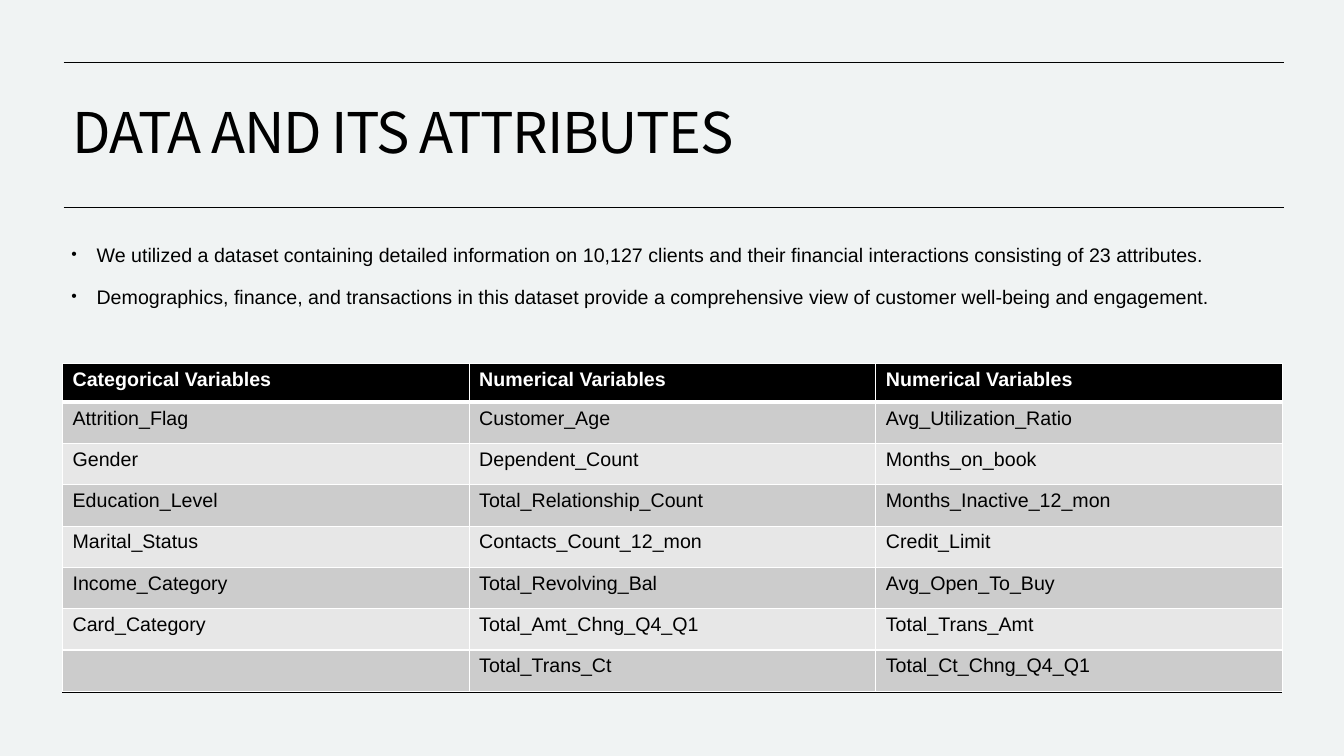
from pptx import Presentation
from pptx.dml.color import RGBColor
from pptx.enum.shapes import MSO_CONNECTOR
from pptx.enum.text import MSO_ANCHOR, PP_ALIGN
from pptx.oxml.ns import qn
from pptx.util import Inches, Pt
from lxml import etree

STRAIGHT = MSO_CONNECTOR.STRAIGHT
MIDDLE = MSO_ANCHOR.MIDDLE
LEFT = PP_ALIGN.LEFT

BLACK, WHITE, PAPER = "000000", "FFFFFF", "F0F3F3"
BANDS = "CCCCCC", "E7E7E7"

NOTES = [
    "We utilized a dataset containing detailed information on 10,127 clients "
    "and their financial interactions consisting of 23 attributes.",
    "Demographics, finance, and transactions in this dataset provide "
    "a comprehensive view of customer well-being and engagement.",
]
ROWS = [
    ("Categorical Variables", "Numerical Variables", "Numerical Variables"),
    ("Attrition_Flag", "Customer_Age", "Avg_Utilization_Ratio"),
    ("Gender", "Dependent_Count", "Months_on_book"),
    ("Education_Level", "Total_Relationship_Count", "Months_Inactive_12_mon"),
    ("Marital_Status", "Contacts_Count_12_mon", "Credit_Limit"),
    ("Income_Category", "Total_Revolving_Bal", "Avg_Open_To_Buy"),
    ("Card_Category", "Total_Amt_Chng_Q4_Q1", "Total_Trans_Amt"),
    ("", "Total_Trans_Ct", "Total_Ct_Chng_Q4_Q1"),
]


def color(code):
    return RGBColor.from_string(code)


class Deck:
    """Holds the slide and its text style, and draws each kind of element."""

    def __init__(self, slide, font, size):
        self.slide, self.font, self.size = slide, font, size
        back = slide.background.fill
        back.solid()
        back.fore_color.rgb = color(PAPER)

    def style(self, para, ink=BLACK, bold=False, font=None, size=None):
        para.alignment = LEFT
        for run in para.runs:
            run.font.name = font or self.font
            run.font.size = Pt(size or self.size)
            run.font.bold = bold
            run.font.color.rgb = color(ink)

    def rule(self, left, top, width):
        line = self.slide.shapes.add_connector(
            STRAIGHT, Inches(left), Inches(top), Inches(left + width), Inches(top))
        line.line.color.rgb = color(BLACK)
        line.line.width = Pt(0.5)
        etree.SubElement(line._element.spPr, qn("a:effectLst"))

    def title(self, text, box, font, size):
        shape = self.slide.shapes.title
        shape.left, shape.top, shape.width, shape.height = map(Inches, box)
        frame = shape.text_frame
        frame.text = text
        frame.word_wrap = True
        frame.vertical_anchor = MIDDLE
        para = frame.paragraphs[0]
        para.line_spacing = 0.9
        self.style(para, font=font, size=size)
        para.runs[0].font._element.set("spc", "-100")

    def border(self, cell, base):
        props = cell._tc.get_or_add_tcPr()
        for side, width in zip("LRTB", (1, 1, 1, base)):
            edge = etree.SubElement(props, qn(f"a:ln{side}"), w=str(Pt(width)))
            fill = etree.SubElement(edge, qn("a:solidFill"))
            etree.SubElement(fill, qn("a:srgbClr"), val=WHITE)

    def table(self, rows, box, head, step):
        grid = self.slide.shapes.add_table(
            len(rows), len(rows[0]), *map(Inches, box)).table
        for r, row in enumerate(rows):
            first = r == 0
            grid.rows[r].height = Inches(head if first else step)
            for c, text in enumerate(row):
                cell = grid.cell(r, c)
                cell.text = text
                self.style(cell.text_frame.paragraphs[0],
                           WHITE if first else BLACK, first)
                self.border(cell, 3 if first else 1)
                cell.fill.solid()
                cell.fill.fore_color.rgb = color(
                    BLACK if first else BANDS[(r - 1) % 2])

    def bullets(self, items, box):
        frame = self.slide.shapes.add_textbox(*map(Inches, box)).text_frame
        frame.word_wrap = True
        frame.text = "\n".join(items)
        for para in frame.paragraphs:
            self.style(para)
            para.line_spacing = 1.2
            para.space_before = Pt(10)
            props = para._p.get_or_add_pPr()
            props.set("marL", str(Inches(0.25)))
            props.set("indent", str(Inches(-0.25)))
            etree.SubElement(props, qn("a:buSzPct"), val="80000")
            etree.SubElement(props, qn("a:buFont"), typeface=self.font)
            etree.SubElement(props, qn("a:buChar"), char="•")


def main():
    show = Presentation()
    show.slide_width, show.slide_height = Inches(13.33), Inches(7.5)
    deck = Deck(show.slides.add_slide(show.slide_layouts[5]), "Arial", 14)
    for left, top in ((0.62, 6.87), (0.63, 2.06), (0.63, 0.62)):
        deck.rule(left, top, 12.1)
    deck.title("DATA AND ITS ATTRIBUTES", (0.62, 0.75, 12.08, 1.19),
               "Noto Sans CJK KR", 40)
    deck.table(ROWS, (0.62, 3.61, 12.1, 3.22), 0.38, 0.41)
    deck.bullets(NOTES, (0.61, 2.31, 12.1, 4.28))
    show.save("out.pptx")


if __name__ == "__main__":
    main()
